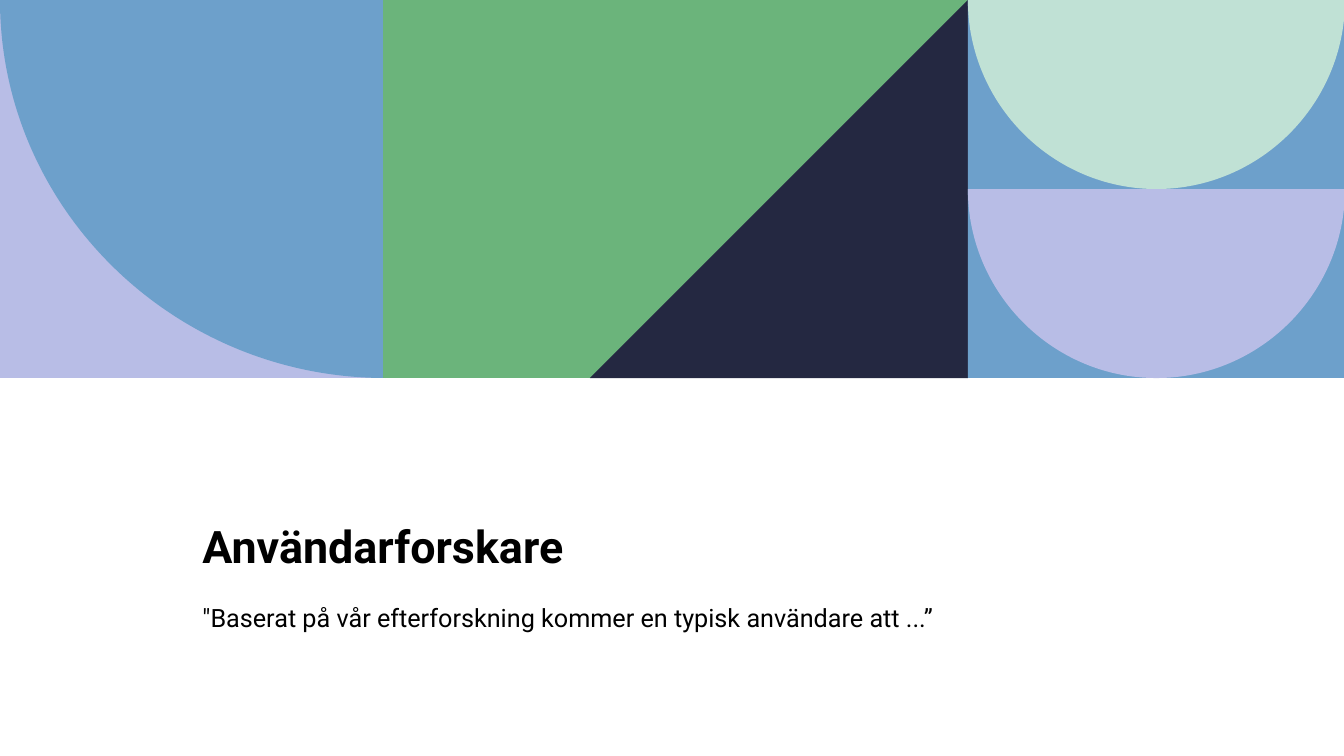
from lxml.etree import SubElement
from pptx import Presentation
from pptx.dml.color import RGBColor
from pptx.enum.shapes import MSO_SHAPE
from pptx.enum.text import MSO_ANCHOR
from pptx.oxml.ns import qn
from pptx.util import Inches, Pt

BLACK = RGBColor(0x00, 0x00, 0x00)
WHITE = RGBColor(0xFF, 0xFF, 0xFF)
BLUE = RGBColor(0x6D, 0xA0, 0xCB)
GREEN = RGBColor(0x6B, 0xB4, 0x7B)
LILAC = RGBColor(0xB8, 0xBD, 0xE6)
MINT = RGBColor(0xC0, 0xE1, 0xD5)
NAVY = RGBColor(0x24, 0x28, 0x41)


class Deck:
    """Draws flat shapes and text on one slide in a shared style."""

    font = "Roboto"
    bend = 0.55

    def __init__(self, width, height):
        self.show = Presentation()
        self.show.slide_width = Inches(width)
        self.show.slide_height = Inches(height)
        self.slide = self.show.slides.add_slide(self.show.slide_layouts[6])

    def paint(self, shape, color):
        shape.shadow.inherit = False
        shape.fill.solid()
        shape.fill.fore_color.rgb = color
        shape.line.fill.background()

    def rect(self, left, top, width, height, color):
        box = map(Inches, (left, top, width, height))
        self.paint(self.slide.shapes.add_shape(MSO_SHAPE.RECTANGLE, *box), color)

    def form(self, points, color):
        first, *rest = [(Inches(x), Inches(y)) for x, y in points]
        pen = self.slide.shapes.build_freeform(*first, scale=1.0)
        pen.add_line_segments(rest, close=True)
        shape = pen.convert_to_shape()
        self.paint(shape, color)
        return shape

    def curve(self, points, color):
        shape = self.form(points, color)
        route = next(shape.element.iter(qn("a:path")))
        lines = route.findall(qn("a:lnTo"))[1:]
        for start in range(0, len(lines), 3):
            arc = SubElement(route, qn("a:cubicBezTo"))
            for line in lines[start:start + 3]:
                arc.append(line[0])
                route.remove(line)
        route.append(route.find(qn("a:close")))

    def fan(self, left, top, wide, high, color):
        right, base = left + wide, top + high
        self.curve([
            (right, top), (left, top),
            (left, top + self.bend * high), (right - self.bend * wide, base), (right, base),
        ], color)

    def bowl(self, left, top, wide, high, color):
        mid, right, base = left + wide / 2, left + wide, top + high
        side, reach = top + self.bend * high, self.bend * wide / 2
        self.curve([
            (left, top), (right, top),
            (right, side), (mid + reach, base), (mid, base),
            (mid - reach, base), (left, side), (left, top),
        ], color)

    def text(self, words, top, height, size, space, bold=False, anchor=MSO_ANCHOR.TOP):
        box = map(Inches, (1.91, top, 9.47, height))
        frame = self.slide.shapes.add_textbox(*box).text_frame
        frame.word_wrap = True
        frame.vertical_anchor = anchor
        line = frame.paragraphs[0]
        line.text = words
        line.line_spacing = space
        line.font.name = self.font
        line.font.size = Pt(size)
        line.font.bold = bold
        line.font.color.rgb = BLACK


def main():
    deck = Deck(13.33, 7.5)
    band = 3.75
    half = band / 2

    deck.rect(0, 0, 13.33, 7.5, WHITE)
    deck.text("Användarforskare", 4.5, 1.23, 32, 1.1, True, MSO_ANCHOR.BOTTOM)
    deck.text(
        '"Baserat på vår efterforskning kommer en typisk användare att ...”',
        5.87, 0.74, 18, 1.2,
    )

    deck.rect(0, 0, 3.81, band, LILAC)
    deck.fan(0, 0, 3.82, band, BLUE)

    deck.rect(3.8, 0, 5.8, band, GREEN)
    deck.form([(9.6, band), (9.6, 0), (5.85, band)], NAVY)

    deck.rect(9.6, 0, 3.74, band, BLUE)
    for row, color in enumerate((MINT, LILAC)):
        deck.bowl(9.6, row * half, 3.74, half, color)

    deck.show.save("out.pptx")


if __name__ == "__main__":
    main()
